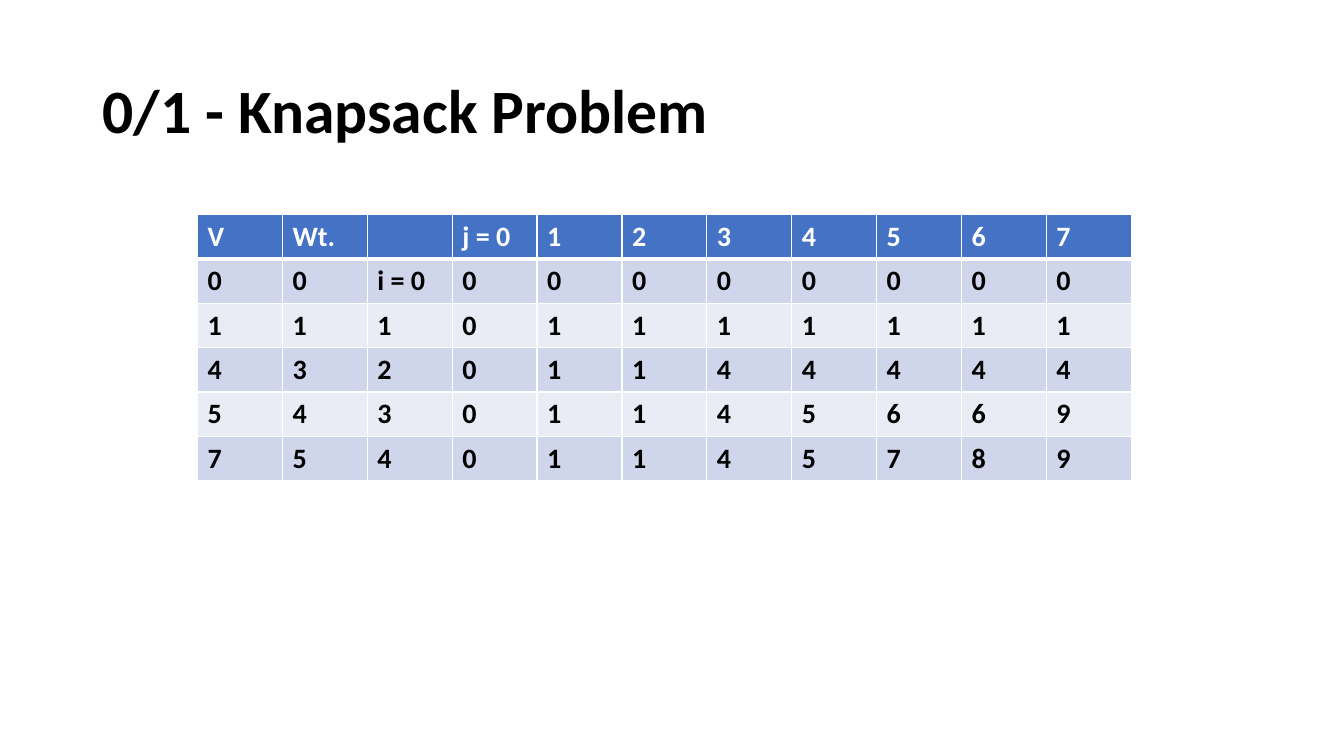
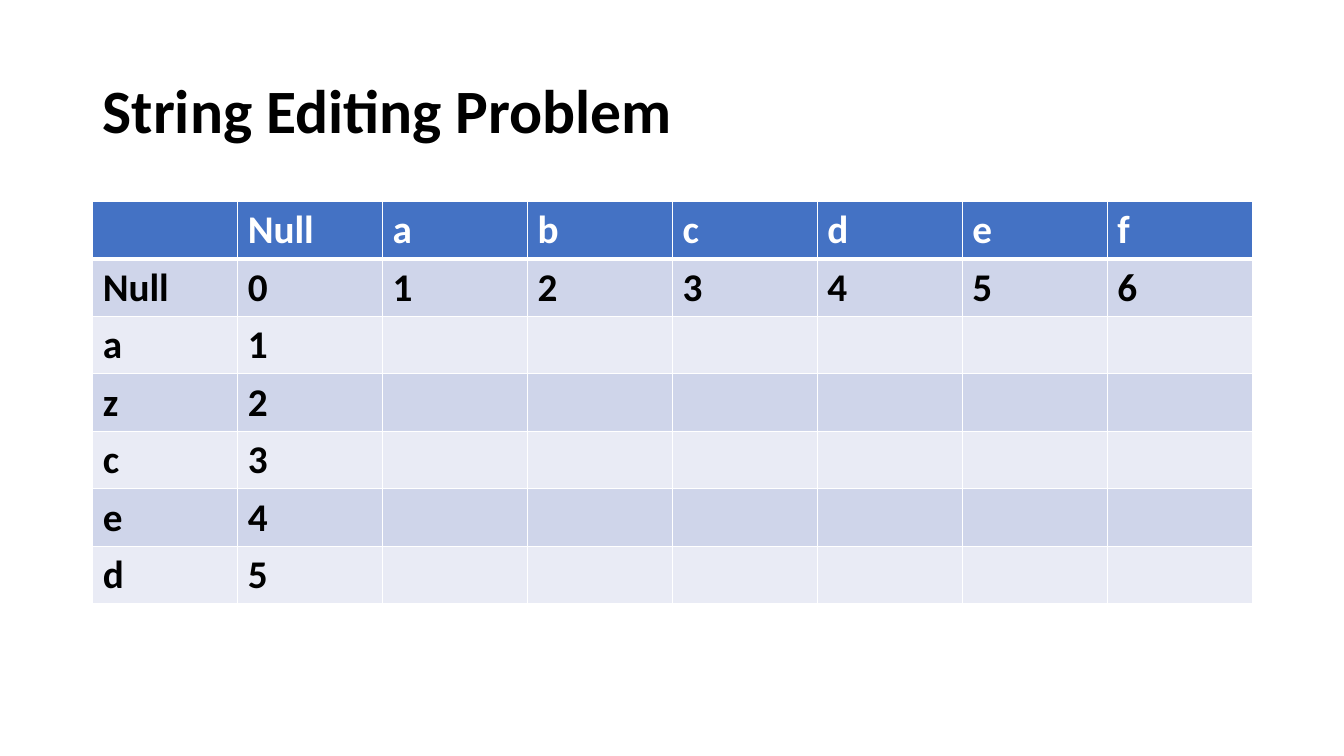
from itertools import zip_longest

from pptx import Presentation
from pptx.dml.color import RGBColor
from pptx.enum.text import MSO_ANCHOR
from pptx.oxml.ns import qn
from pptx.util import Inches, Pt
from lxml.etree import SubElement

FONT = "Calibri"
BLACK, WHITE = "000000", "FFFFFF"
HEADER_FILL = "4472C4"
BAND_FILLS = ("E9EBF5", "CFD5EA")
WIDTH, HEIGHT = 13.33, 7.5
MARGIN = 0.92
CONTENT_WIDTH = 11.5
TITLE_TOP, TITLE_HEIGHT = 0.4, 1.45
THIN, THICK = 1, 3

KNAPSACK = [
    ["V", "Wt.", "", "j = 0", *"1234567"],
    ["0", "0", "i = 0", *"00000000"],
    [*"11101111111"],
    [*"43201144444"],
    [*"54301145669"],
    [*"75401145789"],
]
STRING_EDITING = [
    ["", "Null", *"abcdef"],
    ["Null", *"0123456"],
    *(list(pair) for pair in zip("azced", "12345")),
]


def color(hex_value):
    return RGBColor.from_string(hex_value)


def write(para, text, size, ink=BLACK, bold=True):
    span = para.add_run()
    span.text = text
    span.font.name = FONT
    span.font.size = Pt(size)
    span.font.bold = bold
    span.font.color.rgb = color(ink)


def add_title(page, text):
    box = page.shapes.add_textbox(Inches(MARGIN), Inches(TITLE_TOP),
                                  Inches(CONTENT_WIDTH), Inches(TITLE_HEIGHT))
    frame = box.text_frame
    frame.word_wrap = True
    frame.vertical_anchor = MSO_ANCHOR.MIDDLE
    frame.paragraphs[0].line_spacing = 0.9
    write(frame.paragraphs[0], text, 44)


def add_borders(cell, top=THIN, bottom=THIN):
    """Draw white cell borders; call before setting the fill."""
    properties = cell._tc.get_or_add_tcPr()
    widths = {"lnL": THIN, "lnR": THIN, "lnT": top, "lnB": bottom}
    for tag, width in widths.items():
        line = SubElement(properties, qn(f"a:{tag}"), w=str(Pt(width)))
        fill = SubElement(line, qn("a:solidFill"))
        SubElement(fill, qn("a:srgbClr"), val=WHITE)


def add_grid(page, rows, left, top, width, row_height, size):
    """Add a table with a header row and banded rows below it."""
    columns = len(rows[0])
    frame = page.shapes.add_table(len(rows), columns, Inches(left), Inches(top),
                                  Inches(width), Inches(row_height * len(rows)))
    for index, (row, texts) in enumerate(zip(frame.table.rows, rows)):
        header = index == 0
        for cell, text in zip_longest(row.cells, texts, fillvalue=""):
            add_borders(cell, top=THICK if index == 1 else THIN,
                        bottom=THICK if header else THIN)
            cell.fill.solid()
            cell.fill.fore_color.rgb = color(
                HEADER_FILL if header else BAND_FILLS[index % 2])
            if text:
                write(cell.text_frame.paragraphs[0], text, size,
                      ink=WHITE if header else BLACK)


def add_page(deck, title, rows, **layout):
    page = deck.slides.add_slide(deck.slide_layouts[6])
    add_title(page, title)
    add_grid(page, rows, **layout)


def main():
    deck = Presentation()
    deck.slide_width, deck.slide_height = Inches(WIDTH), Inches(HEIGHT)
    add_page(deck, "0/1 - Knapsack Problem", KNAPSACK,
             left=1.96, top=2.13, width=9.26, row_height=0.44, size=20)
    add_page(deck, "String Editing Problem", STRING_EDITING,
             left=MARGIN, top=2, width=CONTENT_WIDTH, row_height=0.57, size=28)
    deck.save("out.pptx")


if __name__ == "__main__":
    main()
